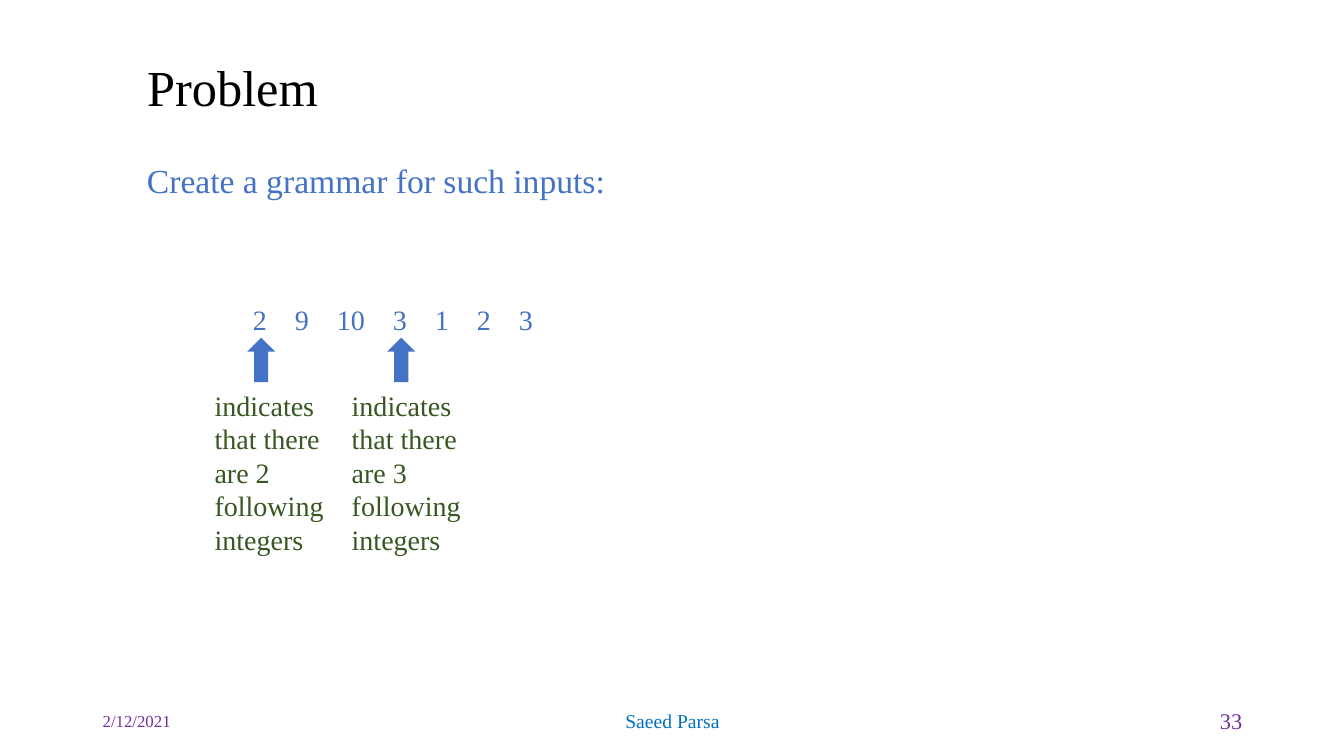
from lxml import etree
from pptx import Presentation
from pptx.dml.color import RGBColor
from pptx.enum.shapes import MSO_SHAPE
from pptx.enum.text import MSO_ANCHOR, PP_ALIGN
from pptx.oxml.ns import qn
from pptx.util import Inches, Pt

UP = MSO_SHAPE.UP_ARROW
TOP, MID = MSO_ANCHOR.TOP, MSO_ANCHOR.MIDDLE
LEFT, CENTER, RIGHT = PP_ALIGN.LEFT, PP_ALIGN.CENTER, PP_ALIGN.RIGHT

FONT = "Times New Roman"
COLORS = {
    "black": "000000",
    "blue": "4472C4",
    "green": "385723",
    "purple": "7030A0",
    "sky": "0070C0",
}
NUMBERS = ["2", "9", "10", "3", "1", "2", "3"]
DIGIT, GAP = 10, 20  # points

# text, box, size, color, anchor, alignment, line spacing
TEXTS = [
    ("Problem", (1.36, 0.58, 6.85, 0.64), 36, "black", MID, LEFT, 0.9),
    ("Create a grammar for such inputs:", (1.36, 1.58, 6.14, 0.59),
     24, "blue", TOP, LEFT, 0.9),
    ("2/12/2021", (0.92, 6.95, 3, 0.4), 12, "purple", MID, LEFT, 1),
    ("Saeed Parsa", (4.42, 6.95, 4.5, 0.4), 14, "sky", MID, CENTER, 1),
    ("33", (9.42, 6.95, 3, 0.4), 16, "purple", MID, RIGHT, 1),
]
# count, arrow left, note left
NOTES = [(2, 2.45, 2.03), (3, 3.84, 3.39)]


def rgb(name):
    return RGBColor.from_string(COLORS[name])


def add_tabs(para, stops):
    """Set left tab stops, given in points."""
    tabs = etree.SubElement(para._p.get_or_add_pPr(), qn("a:tabLst"))
    for stop in stops:
        etree.SubElement(tabs, qn("a:tab"), pos=str(Pt(stop)), algn="l")


def add_text(slide, text, box, size, color, anchor=TOP, align=LEFT,
             spacing=1, stops=()):
    frame = slide.shapes.add_textbox(*map(Inches, box)).text_frame
    frame.word_wrap = True
    frame.vertical_anchor = anchor
    para = frame.paragraphs[0]
    para.alignment = align
    para.line_spacing = spacing
    if stops:
        add_tabs(para, stops)
    run = para.add_run()
    run.text = text
    for key, value in {"name": FONT, "size": Pt(size)}.items():
        setattr(run.font, key, value)
    run.font.color.rgb = rgb(color)


def add_row(slide):
    """Place the input numbers, each but the first at its own tab stop."""
    stops, pos = [], 0
    for number in NUMBERS[:-1]:
        pos += DIGIT * len(number) + GAP
        stops.append(pos)
    add_text(slide, "\t".join(NUMBERS), (2.41, 2.95, 3.01, 0.44),
             20, "blue", stops=stops)


def add_arrow(slide, left):
    arrow = slide.shapes.add_shape(
        UP, *map(Inches, (left, 3.35, 0.28, 0.44)))
    arrow.shadow.inherit = False
    arrow.fill.solid()
    arrow.fill.fore_color.rgb = rgb("blue")
    arrow.line.fill.background()


def main():
    deck = Presentation()
    deck.slide_width, deck.slide_height = Inches(13.33), Inches(7.5)
    slide = deck.slides.add_slide(deck.slide_layouts[6])
    for item in TEXTS:
        add_text(slide, *item)
    add_row(slide)
    for count, tip, left in NOTES:
        add_arrow(slide, tip)
        add_text(slide, f"indicates that there are {count} following integers",
                 (left, 3.8, 1.36, 1.78), 20, "green")
    deck.save("out.pptx")


if __name__ == "__main__":
    main()
